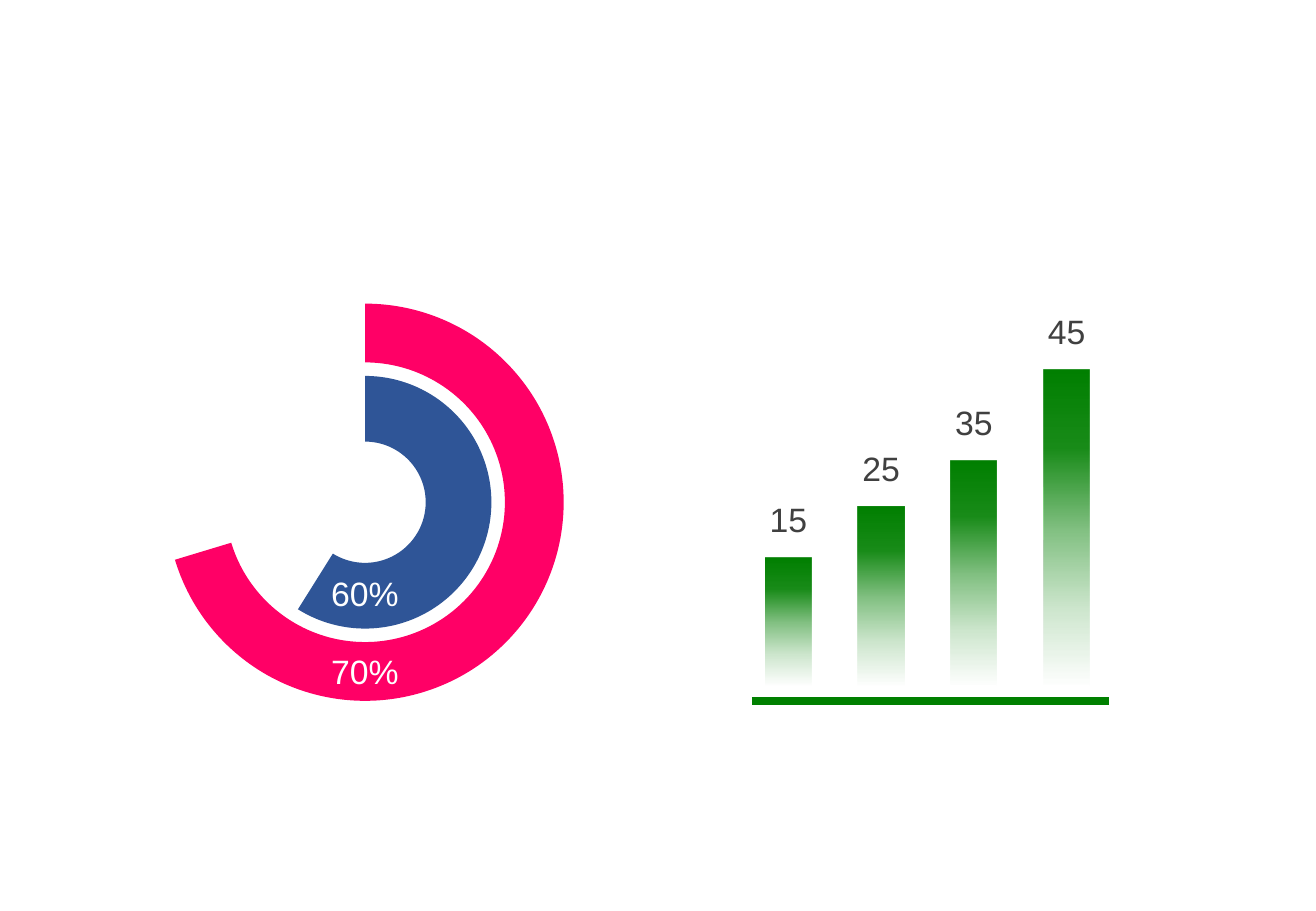
import pptx
import pptx.dml.color
import pptx.enum.shapes
import pptx.enum.text
import pptx.oxml
import pptx.oxml.ns
import pptx.util
from dataclasses import dataclass
from lxml import etree

Pt = pptx.util.Pt
SHAPE = pptx.enum.shapes.MSO_SHAPE


@dataclass(frozen=True)
class Theme:
    font: str = "Arial"
    label_size: int = 20
    white: str = "FFFFFF"
    grey: str = "404040"
    pink: str = "FF0066"
    blue: str = "2F5597"
    green: str = "008000"
    axis_width: float = 4.5


T = Theme()

# label, colour, diameter, band share of diameter, end angle, label centre above ring bottom
RINGS = [("70%", T.pink, 235.44, 0.148, 73.16, 17.3),
         ("60%", T.blue, 149.76, 0.26, 32.08, 20.9)]
# label, bar height
BARS = [("15", 75.6), ("25", 105.84), ("35", 133.2), ("45", 187.2)]
# position and opacity of the fade, in percent
FADE = [(0, 100), (25, 90), (50, 50), (75, 20), (100, 0)]


def rgb(code):
    return pptx.dml.color.RGBColor.from_string(code)


def add_text(shapes, text, x, y, w, h, color, wrap=True):
    tf = shapes.add_textbox(Pt(x), Pt(y), Pt(w), Pt(h)).text_frame
    tf.word_wrap = wrap
    p = tf.paragraphs[0]
    p.alignment = pptx.enum.text.PP_ALIGN.CENTER
    r = p.add_run()
    r.text = text
    r.font.name, r.font.size = T.font, Pt(T.label_size)
    r.font.color.rgb = rgb(color)


def add_plain_shape(shapes, kind, x, y, w, h):
    sp = shapes.add_shape(kind, Pt(x), Pt(y), Pt(w), Pt(h))
    sp.shadow.inherit = False
    sp.line.fill.background()
    return sp


def fade_down(sp, color):
    """Fill a shape with one colour that fades out towards the bottom."""
    sp.fill.gradient()
    sp.fill.gradient_angle = 270
    stops = sp._element.spPr.find(".//" + pptx.oxml.ns.qn("a:gsLst"))
    for stop in list(stops):
        stops.remove(stop)
    for pos, opacity in FADE:
        gs = etree.SubElement(stops, pptx.oxml.ns.qn("a:gs"), pos=str(pos * 1000))
        clr = etree.SubElement(gs, pptx.oxml.ns.qn("a:srgbClr"), val=color)
        etree.SubElement(clr, pptx.oxml.ns.qn("a:alpha"), val=str(opacity * 1000))


def add_rings(s, x, y, size):
    shapes = s.shapes.add_group_shape().shapes
    cx, cy = x + size / 2, y + size / 2
    label_w, label_h = 54.72, 31.68
    for label, color, d, band, end, rise in RINGS:
        sp = add_plain_shape(shapes, SHAPE.BLOCK_ARC, cx - d / 2, cy - d / 2, d, d)
        sp.rotation = 90
        # Angles are stored in units of 1/0.6 degree
        for i, value in enumerate((180 * 0.6, end * 0.6, band)):
            sp.adjustments[i] = value
        sp.fill.solid()
        sp.fill.fore_color.rgb = rgb(color)
        add_text(shapes, label, cx - label_w / 2, cy + d / 2 - rise - label_h / 2,
                 label_w, label_h, T.white, wrap=False)


def add_bars(s, x, y, w, h):
    shapes = s.shapes.add_group_shape().shapes
    bar_w, pitch, inset, gap = 27.36, 54.96, 7.92, 9.36
    label_w, label_h = 43.92, 38.16
    base = y + h - gap
    # Bars with their values
    for i, (label, bar_h) in enumerate(BARS):
        left, top = x + inset + i * pitch, base - bar_h
        fade_down(add_plain_shape(shapes, SHAPE.RECTANGLE, left, top, bar_w, bar_h), T.green)
        add_text(shapes, label, left + (bar_w - label_w) / 2, top - label_h,
                 label_w, label_h, T.grey)
    # Axis
    line = shapes.add_connector(pptx.enum.shapes.MSO_CONNECTOR.STRAIGHT,
                                Pt(x), Pt(y + h), Pt(x + w), Pt(y + h))
    line.line.color.rgb = rgb(T.green)
    line.line.width = Pt(T.axis_width)
    etree.SubElement(line._element.spPr, pptx.oxml.ns.qn("a:effectLst"))


def main():
    prs = pptx.Presentation()
    prs.slide_width, prs.slide_height = Pt(780), Pt(540)
    s = prs.slides.add_slide(prs.slide_layouts[6])
    top, height = 180, 235.44
    add_rings(s, 98.64, top, height)
    add_bars(s, 445.68, top, 211.68, height)
    prs.save("out.pptx")


if __name__ == "__main__":
    main()
